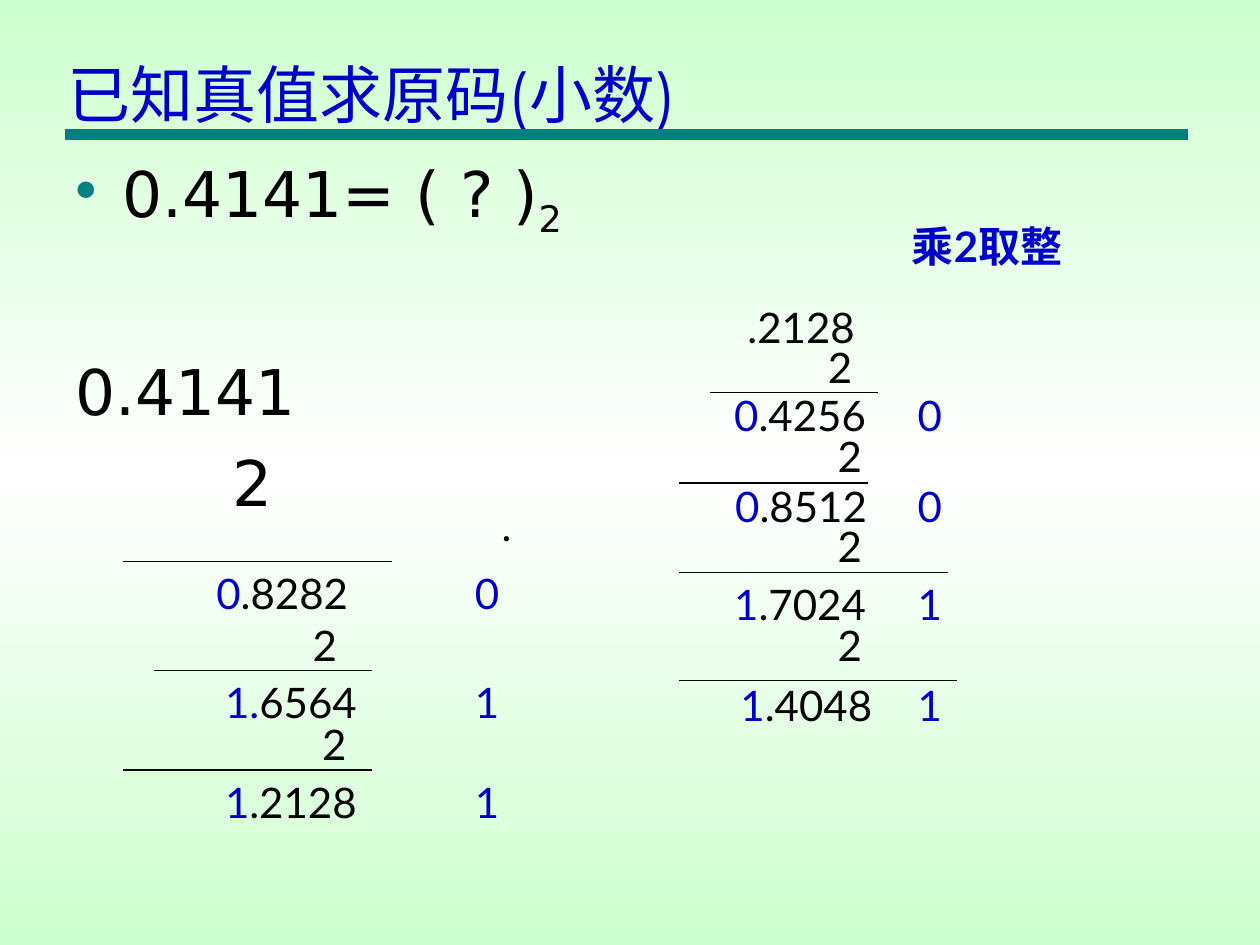
from copy import deepcopy
from dataclasses import dataclass

from lxml.etree import SubElement
from pptx import Presentation
from pptx.dml.color import RGBColor
from pptx.enum.shapes import MSO_CONNECTOR as Connector
from pptx.enum.text import MSO_ANCHOR as Anchor, PP_ALIGN as Align
from pptx.oxml.ns import qn
from pptx.util import Pt


@dataclass(frozen=True)
class Theme:
    blue: RGBColor = RGBColor(0x00, 0x00, 0xCC)
    black: RGBColor = RGBColor(0x00, 0x00, 0x00)
    teal: RGBColor = RGBColor(0x00, 0x80, 0x80)
    white: RGBColor = RGBColor(0xFF, 0xFF, 0xFF)
    mint: RGBColor = RGBColor(0xCD, 0xFF, 0xCE)
    title_font: str = "Montserrat"
    body_font: str = "DejaVu Sans"
    working_font: str = "Lato"
    large: int = 36
    small: int = 24


THEME = Theme()

# Each step: multiplier (x, y), rule (x1, x2, y), product (x, y), integer part, fraction, carry
LEFT_CARRY_X = 271.5
LEFT_STEPS = [
    (None, (70.5, 224, 321), (116.5, 321), "0", ".8282", "0"),
    ((171.5, 350.5), (88, 212.5, 383), (121.5, 383), "1.", "6564", "1"),
    ((177, 407), (70.5, 212.5, 440), (121.5, 440), "1", ".2128", "1"),
]
RIGHT_CARRY_X = 524.5
RIGHT_STEPS = [
    ((466, 191.5), (405.5, 502, 224.5), (412.5, 219), "0", ".4256", "0"),
    ((471.5, 242.5), (388, 496, 276), (413, 271), "0", ".8512", "0"),
    ((471.5, 294), (388, 541.5, 327), (412.5, 327), "1", ".7024", "1"),
    ((471.5, 350.5), (388, 547, 389), (416, 384.5), "1", ".4048", "1"),
]
INSET = 7.2


def style(font, name, size, color, bold=False):
    font.name, font.size, font.bold = name, Pt(size), bold
    font.color.rgb = color


def paint_background(slide):
    """Vertical gradient: mint, white in the middle, mint."""
    fill = slide.background.fill
    fill.gradient()
    fill.gradient_angle = 90
    first, last = fill.gradient_stops
    for stop, position, color in ((first, 0, THEME.mint), (last, 1, THEME.white)):
        stop.position = position
        stop.color.rgb = color
    stops = slide.background._cSld.find(".//" + qn("a:gsLst"))
    stops.append(deepcopy(stops[0]))
    for stop, position in zip(stops, (0, 50000, 100000)):
        stop.set("pos", str(position))


def add_rule(slide, x1, x2, y, color=THEME.black, weight=0.75):
    rule = slide.shapes.add_connector(Connector.STRAIGHT, Pt(x1), Pt(y), Pt(x2), Pt(y))
    rule.line.color.rgb = color
    rule.line.width = Pt(weight)
    SubElement(rule._element.spPr, qn("a:effectLst"))


def add_box(slide, x, y, width, height=36):
    frame = slide.shapes.add_textbox(Pt(x), Pt(y), Pt(width), Pt(height)).text_frame
    frame.word_wrap = True
    return frame


def add_working(slide, x, y, text, width=90, color=THEME.black, bold=False):
    paragraph = add_box(slide, x, y, width).paragraphs[0]
    paragraph.text = text
    style(paragraph.runs[0].font, THEME.working_font, THEME.small, color, bold)


def add_product(slide, x, y, integer, fraction, carry, carry_x):
    """Product of one step, with its carried digit at a tab stop."""
    paragraph = add_box(slide, x, y, carry_x - x + 40).paragraphs[0]
    tabs = SubElement(paragraph._p.get_or_add_pPr(), qn("a:tabLst"))
    SubElement(tabs, qn("a:tab"), pos=str(Pt(carry_x - x - INSET)), algn="l")
    parts = ((integer, THEME.blue), (fraction + "\t", THEME.black), (carry, THEME.blue))
    for text, color in parts:
        run = paragraph.add_run()
        run.text = text
        style(run.font, THEME.working_font, THEME.small, color)


def add_steps(slide, steps, carry_x):
    for multiplier, rule, product, integer, fraction, carry in steps:
        if multiplier:
            add_working(slide, *multiplier, "2", width=32)
        add_rule(slide, *rule)
        add_product(slide, *product, integer, fraction, carry, carry_x)


def set_title(slide, text):
    title = slide.shapes.title
    title.left, title.top, title.width, title.height = Pt(31.5), Pt(12), Pt(646), Pt(66.5)
    frame = title.text_frame
    frame.text = text
    frame.vertical_anchor = Anchor.BOTTOM
    paragraph = frame.paragraphs[0]
    paragraph.alignment = Align.LEFT
    style(paragraph.runs[0].font, THEME.title_font, THEME.large, THEME.blue)


def add_problem(slide):
    """The question as a bullet, then the first multiplication below it."""
    frame = add_box(slide, 36, 84.5, 644, 444)
    frame.text = "0.4141= ( ? )\n0.4141\n2"
    question, operand, multiplier = frame.paragraphs

    properties = question._p.get_or_add_pPr()
    properties.set("marL", str(Pt(27)))
    properties.set("indent", str(Pt(-27)))
    bullet_color = SubElement(properties, qn("a:buClr"))
    SubElement(bullet_color, qn("a:srgbClr"), val=str(THEME.teal))
    SubElement(properties, qn("a:buChar"), char="•")
    multiplier._p.get_or_add_pPr().set("marL", str(Pt(90)))

    base = question.add_run()
    base.text = "2"
    operand.space_before = Pt(64)
    multiplier.space_before = Pt(9)
    for paragraph in frame.paragraphs:
        for run in paragraph.runs:
            style(run.font, THEME.body_font, THEME.large, THEME.black)
    base.font._element.set("baseline", "-25000")


def main():
    deck = Presentation()
    deck.slide_width, deck.slide_height = Pt(720), Pt(540)
    slide = deck.slides.add_slide(deck.slide_layouts[5])
    paint_background(slide)
    add_rule(slide, 37, 679, 77, THEME.teal, 6)
    set_title(slide, "已知真值求原码(小数)")
    add_problem(slide)
    add_steps(slide, LEFT_STEPS, LEFT_CARRY_X)
    add_working(slide, 279.5, 282, ".", width=21)
    add_working(slide, 420, 169, ".2128")
    add_steps(slide, RIGHT_STEPS, RIGHT_CARRY_X)
    add_working(slide, 514, 122.5, "乘2取整", 130, THEME.blue, bold=True)
    deck.save("out.pptx")


if __name__ == "__main__":
    main()
